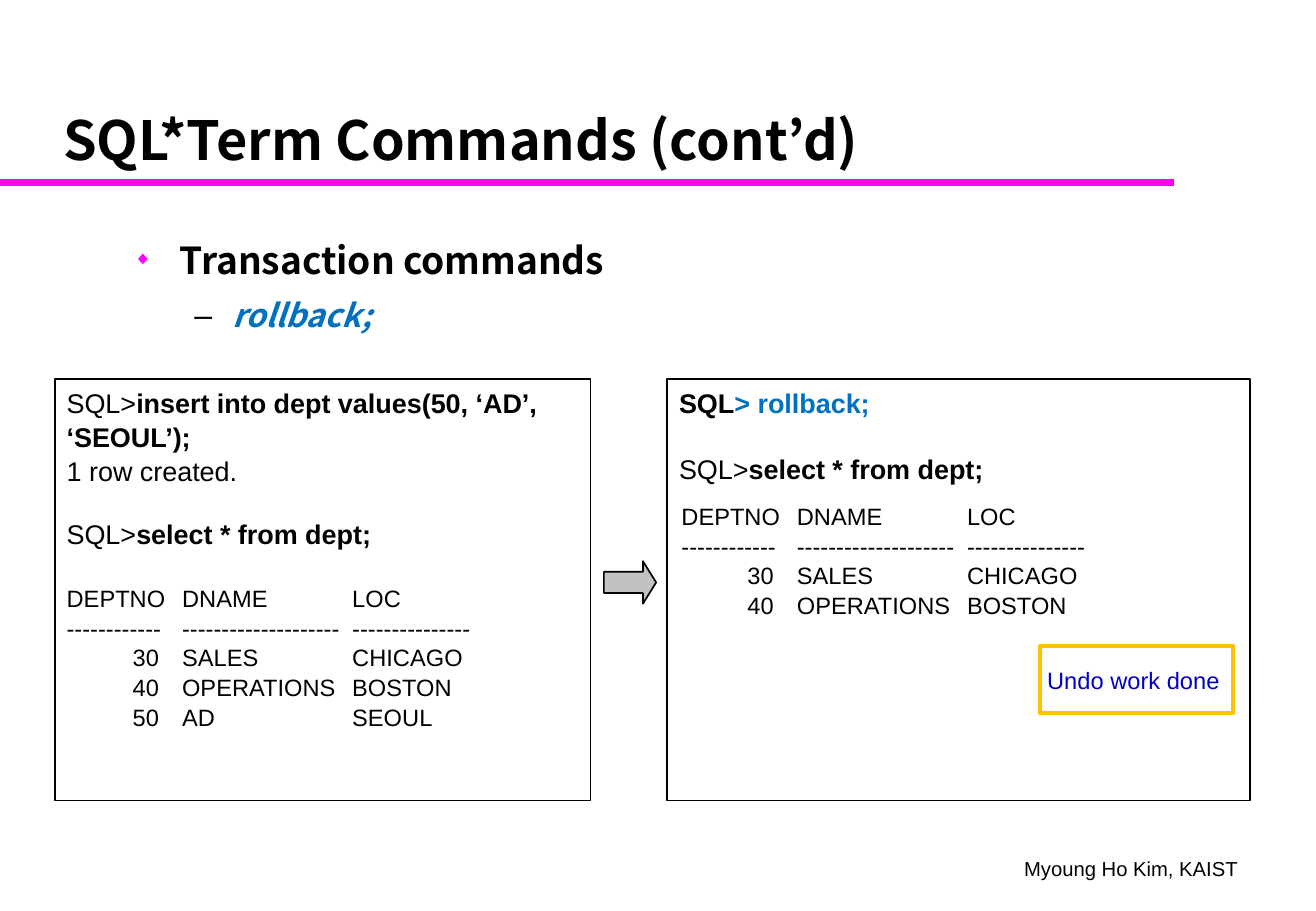
import pptx
import pptx.util
import pptx.dml.color
import pptx.enum.shapes
import pptx.enum.text
import pptx.oxml

Inches = pptx.util.Inches
Pt = pptx.util.Pt
MSO_SHAPE = pptx.enum.shapes.MSO_SHAPE
ANCHOR = pptx.enum.text.MSO_ANCHOR
ALIGN = pptx.enum.text.PP_ALIGN
NAMESPACE = 'xmlns:a="http://schemas.openxmlformats.org/drawingml/2006/main"'


def color(hex_string):
    return pptx.dml.color.RGBColor.from_string(hex_string)


def write(text_frame, paragraphs, frame_format, extra=()):
    frame_values = {"word_wrap": True, "auto_size": pptx.enum.text.MSO_AUTO_SIZE.NONE,
                    "vertical_anchor": ANCHOR.TOP,
                    "margin_left": Inches(0.1), "margin_right": Inches(0.1),
                    "margin_top": Inches(0.05), "margin_bottom": Inches(0.05)}
    for name, value in {**frame_values, **frame_format}.items():
        setattr(text_frame, name, value)
    for index, (paragraph_format, runs) in enumerate(paragraphs):
        paragraph = text_frame.paragraphs[0] if index == 0 else text_frame.add_paragraph()
        for name, value in {"alignment": ALIGN.LEFT, **paragraph_format}.items():
            if name == "tabs":
                stops = "".join(f'<a:tab pos="{Inches(stop)}" algn="{side}"/>' for stop, side in value)
                properties = paragraph._p.get_or_add_pPr()
                properties.append(pptx.oxml.parse_xml(f"<a:tabLst {NAMESPACE}>{stops}</a:tabLst>"))
            else:
                setattr(paragraph, name, value)
        for text, font_format in runs:
            run = paragraph.add_run()
            run.text = text
            values = {"name": "Arial", "size": Pt(16), "color": "000000", "bold": False, **font_format}
            run.font.color.rgb = color(values.pop("color"))
            for name, value in values.items():
                setattr(run.font, name, value)


presentation = pptx.Presentation()
presentation.slide_width = Inches(10.83)
presentation.slide_height = Inches(7.5)
slide = presentation.slides.add_slide(presentation.slide_layouts[1])

rule = slide.shapes.add_connector(pptx.enum.shapes.MSO_CONNECTOR.STRAIGHT,
                                  0, Inches(1.5), Inches(9.66), Inches(1.5))
rule.line.color.rgb = color("FF00FF")
rule.line.width = Pt(4)
rule._element.spPr.append(pptx.oxml.parse_xml(f"<a:effectLst {NAMESPACE}/>"))

heading = {"name": "Noto Sans CJK KR", "bold": True}
title = slide.shapes.title
body = slide.placeholders[1]
for placeholder, place in ((title, (0.42, 0.25, 9.2, 1.21)), (body, (1, 1.83, 8.67, 5))):
    for name, length in zip(("left", "top", "width", "height"), place):
        setattr(placeholder, name, Inches(length))
write(title.text_frame, [({}, [("SQL*Term Commands (cont’d)", {**heading, "size": Pt(32)})])],
      {"vertical_anchor": ANCHOR.BOTTOM})
write(body.text_frame, [
    ({"line_spacing": 1.2, "space_before": Pt(4.4)},
     [("Transaction commands", {**heading, "size": Pt(22)})]),
    ({"level": 1, "line_spacing": 1.2, "space_before": Pt(3.8)},
     [("rollback;", {**heading, "size": Pt(19), "italic": True, "color": "0070C0"})]),
], {})
bullets = (("◆", "FF00FF", 50, 0.38, -0.38), ("–", "000000", 100, 0.81, -0.31))
for paragraph, (mark, mark_color, percent, margin, indent) in zip(body.text_frame.paragraphs, bullets):
    properties = paragraph._p.get_or_add_pPr()
    properties.set("marL", str(Inches(margin)))
    properties.set("indent", str(Inches(indent)))
    for element in (f'<a:buClr {NAMESPACE}><a:srgbClr val="{mark_color}"/></a:buClr>',
                    f'<a:buSzPct {NAMESPACE} val="{percent * 1000}"/>',
                    f'<a:buChar {NAMESPACE} char="{mark}"/>'):
        properties.append(pptx.oxml.parse_xml(element))

bold = {"bold": True}
small = {"size": Pt(14)}
blue = {"bold": True, "color": "0070C0"}
spaced = {"line_spacing": 1.05}
columns = [(0.95, "l"), (2.35, "l")]
department_rows = [
    ({**spaced, "tabs": columns}, [("DEPTNO\tDNAME\tLOC", small)]),
    ({**spaced, "tabs": columns}, [("\t".join("-" * count for count in (12, 20, 15)), small)]),
]
for number, name, location in ((30, "SALES", "CHICAGO"), (40, "OPERATIONS", "BOSTON"), (50, "AD", "SEOUL")):
    department_rows.append(({**spaced, "tabs": [(0.76, "r")] + columns},
                            [(f"\t{number}\t{name}\t{location}", small)]))

select = [("SQL>", {}), ("select * from dept;", bold)]
before = [
    (spaced, [("SQL>", {}), ("insert into dept values(50, ‘AD’, ‘SEOUL’);", bold)]),
    (spaced, [("1 row created.", {})]),
    ({**spaced, "space_before": Pt(17.5)}, select),
    ({**department_rows[0][0], "space_before": Pt(19)}, department_rows[0][1]),
] + department_rows[1:]
after = [
    (spaced, [("SQL", bold), ("> rollback;", blue)]),
    ({**spaced, "space_before": Pt(19)}, select),
]
note = [({"alignment": ALIGN.CENTER}, [("Undo work done ", {**small, "color": "0000CC"})])]

boxes = (
    ((0.45, 3.12, 4.41, 3.47), "000000", 1, before, {}),
    ((5.49, 3.12, 4.8, 3.47), "000000", 1, after, {}),
    ((8.56, 5.32, 1.59, 0.55), "FFC000", 2.25, note,
     {"vertical_anchor": ANCHOR.MIDDLE, "word_wrap": False}),
)
for place, line_color, line_width, paragraphs, frame_format in boxes:
    box = slide.shapes.add_shape(MSO_SHAPE.RECTANGLE, *map(Inches, place))
    box.shadow.inherit = False
    box.fill.background()
    box.line.color.rgb = color(line_color)
    box.line.width = Pt(line_width)
    write(box.text_frame, paragraphs, frame_format)

arrow = slide.shapes.add_shape(MSO_SHAPE.RIGHT_ARROW, *map(Inches, (4.97, 4.62, 0.43, 0.35)))
arrow.shadow.inherit = False
arrow.adjustments[0] = 0.5
arrow.adjustments[1] = 0.31
arrow.fill.solid()
arrow.fill.fore_color.rgb = color("868686")
arrow._element.spPr.find(".//{*}solidFill/{*}srgbClr").append(
    pptx.oxml.parse_xml(f'<a:alpha {NAMESPACE} val="50000"/>'))
arrow.line.color.rgb = color("000000")
arrow.line.width = Pt(1)

labels = (
    ((5.51, 4.07, 3.76, 1.04), department_rows[:4]),
    ((8.33, 7, 2.08, 0.3), [({}, [("Myoung Ho Kim, KAIST", {"size": Pt(12)})])]),
)
for place, paragraphs in labels:
    label = slide.shapes.add_textbox(*map(Inches, place))
    write(label.text_frame, paragraphs, {})

presentation.save("out.pptx")
